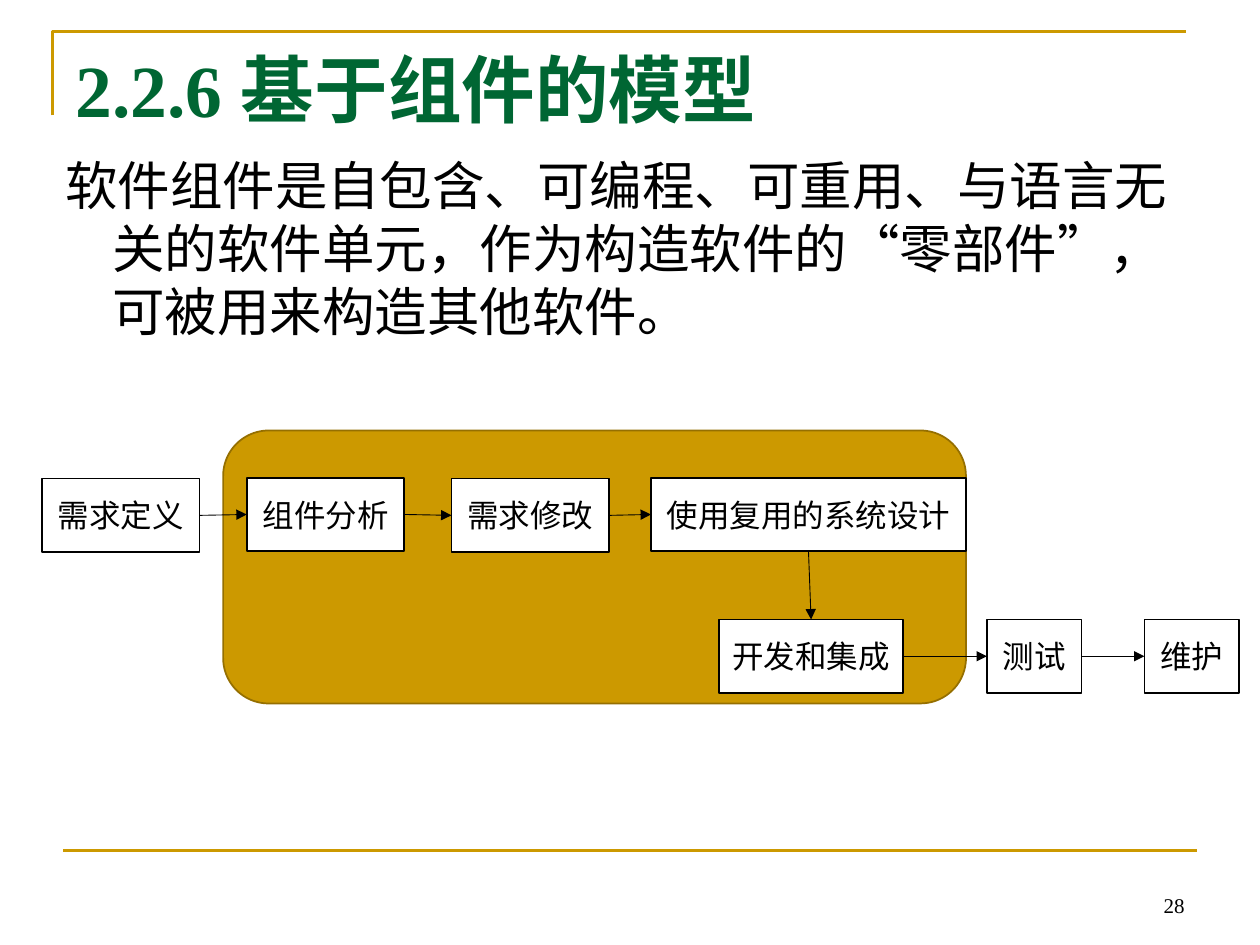
"""Build the slide on the component-based software model."""
import pptx
import pptx.util
import pptx.dml.color
import pptx.enum.shapes
import pptx.enum.text
import pptx.oxml
import pptx.oxml.ns

Pt = pptx.util.Pt
ALIGN = pptx.enum.text.PP_ALIGN
ANCHOR = pptx.enum.text.MSO_ANCHOR
SHAPE = pptx.enum.shapes.MSO_SHAPE
STRAIGHT = pptx.enum.shapes.MSO_CONNECTOR.STRAIGHT
GOLD, BLACK, WHITE = "CC9900", "000000", "FFFFFF"


def color(value):
    """Turn a hex string into a colour."""
    return pptx.dml.color.RGBColor.from_string(value)


def write(box, text, anchor, align, ink, **formats):
    """Put one formatted paragraph into a box."""
    frame = box.text_frame
    frame.word_wrap = True
    frame.auto_size = pptx.enum.text.MSO_AUTO_SIZE.NONE
    frame.vertical_anchor = anchor
    para = frame.paragraphs[0]
    para.alignment = align
    para.space_before = Pt(0)
    span = para.add_run()
    span.text = text
    for name, value in formats.items():
        setattr(span.font, name, value)
    span.font.color.rgb = color(ink)
    return para


deck = pptx.Presentation()
deck.slide_width, deck.slide_height = Pt(720), Pt(540)
slide = deck.slides.add_slide(deck.slide_layouts[1])
shapes = slide.shapes

title, body = shapes.title, slide.placeholders[1]
title.left, title.top, title.width, title.height = Pt(36), Pt(21.6), Pt(648), Pt(90)
write(title, "2.2.6 基于组件的模型", ANCHOR.TOP, ALIGN.LEFT, "006633",
      size=Pt(42), name="Times New Roman", bold=True)

body.left, body.top, body.width, body.height = Pt(30), Pt(84), Pt(654), Pt(399)
para = write(body, "软件组件是自包含、可编程、可重用、与语言无关的软件单元，作为构造软件的“零部件”，可被用来构造其他软件。",
             ANCHOR.TOP, ALIGN.LEFT, BLACK, size=Pt(30), name="Arial")
properties = para._p.get_or_add_pPr()
properties.set("marL", str(Pt(27)))
properties.set("indent", str(Pt(-27)))
properties.append(pptx.oxml.parse_xml(f"<a:buNone {pptx.oxml.ns.nsdecls('a')}/>"))

builder = shapes.build_freeform(Pt(30), Pt(66))
builder.add_line_segments([(Pt(30), Pt(18)), (Pt(678), Pt(18))], close=False)
corner = builder.convert_to_shape()
corner.shadow.inherit = False
corner.fill.background()
rule = shapes.add_connector(STRAIGHT, Pt(36), Pt(486), Pt(684), Pt(486))
for edge in (corner, rule):
    edge.line.color.rgb = color(GOLD)
    edge.line.width = Pt(1.5)

number = shapes.add_textbox(Pt(516), Pt(492), Pt(168), Pt(36))
write(number, "28", ANCHOR.BOTTOM, ALIGN.RIGHT, BLACK, size=Pt(12), name="Times New Roman")

panel = shapes.add_shape(SHAPE.ROUNDED_RECTANGLE, Pt(127.5), Pt(246), Pt(424.5), Pt(156))
panel.shadow.inherit = False
panel.fill.solid()
panel.fill.fore_color.rgb = color(GOLD)
panel.line.color.rgb = color("956F00")
panel.line.width = Pt(1)

steps = [
    ("需求定义", 24, 273.5, 90),
    ("组件分析", 141, 273, 90),
    ("需求修改", 258, 273.5, 90),
    ("使用复用的系统设计", 372, 273, 180),
    ("开发和集成", 411, 354, 105),
    ("测试", 564, 354, 54),
    ("维护", 654, 354, 54),
]
boxes = []
for text, left, top, width in steps:
    box = shapes.add_shape(SHAPE.RECTANGLE, Pt(left), Pt(top), Pt(width), Pt(42))
    box.shadow.inherit = False
    box.fill.solid()
    box.fill.fore_color.rgb = color(WHITE)
    box.line.color.rgb = color(BLACK)
    box.line.width = Pt(1)
    write(box, text, ANCHOR.MIDDLE, ALIGN.CENTER, BLACK, size=Pt(18), name="Arial")
    boxes.append(box)

arrows = []
for start, end in zip(boxes, boxes[1:]):
    same_row = abs(start.top - end.top) < Pt(10)
    arrow = shapes.add_connector(STRAIGHT, 0, 0, 0, 0)
    arrow.begin_connect(start, 3 if same_row else 2)
    arrow.end_connect(end, 1 if same_row else 0)
    arrow.line.color.rgb = color(BLACK)
    arrow.line.width = Pt(0.5)
    arrow.line._get_or_add_ln().append(pptx.oxml.parse_xml(
        f"<a:tailEnd {pptx.oxml.ns.nsdecls('a')} type='triangle'/>"))
    arrows.append(arrow)

for line in [rule, *arrows]:
    line._element.spPr.append(pptx.oxml.parse_xml(
        f"<a:effectLst {pptx.oxml.ns.nsdecls('a')}/>"))

deck.save("out.pptx")
